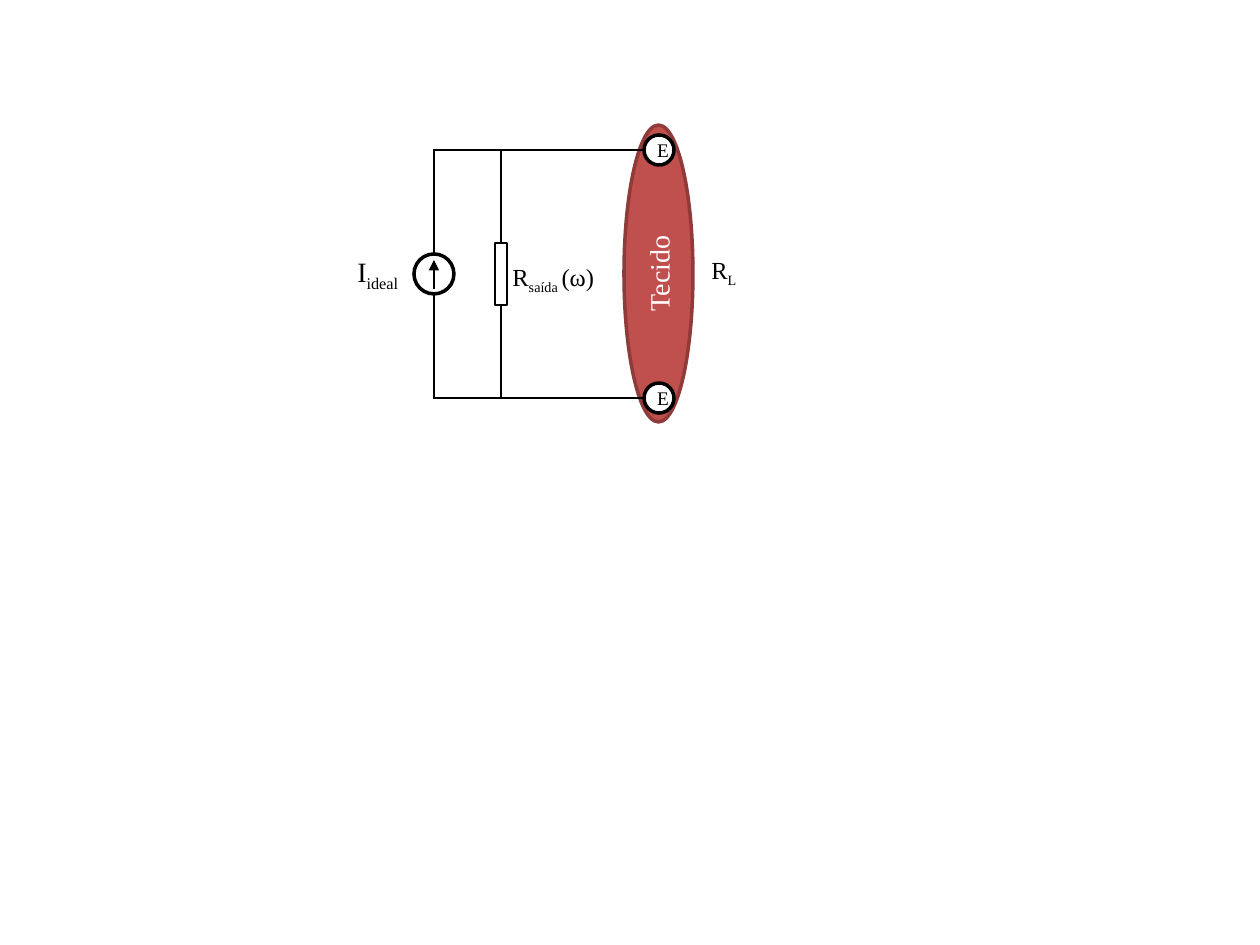
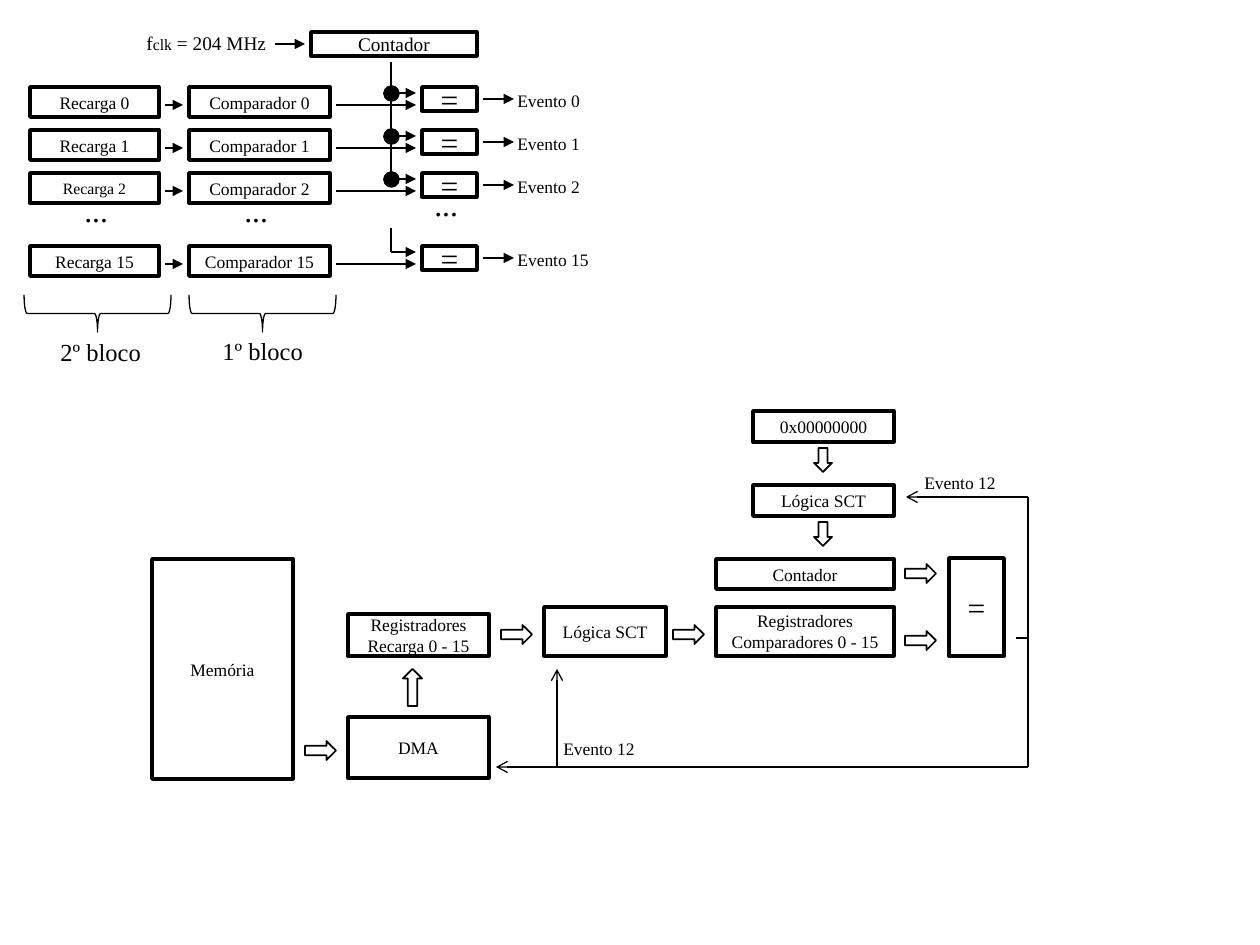
from lxml import etree
from pptx import Presentation
from pptx import util as u
from pptx.dml.color import RGBColor
from pptx.enum import shapes, text
from pptx.oxml.ns import qn

BLACK = RGBColor(0x00, 0x00, 0x00)
WHITE = RGBColor(0xFF, 0xFF, 0xFF)
TISSUE = RGBColor(0xC0, 0x50, 0x4D)
TISSUE_EDGE = RGBColor(0x8E, 0x3B, 0x39)
FONT = "Times New Roman"
SCALE = 914400 / 126
KIND = shapes.MSO_SHAPE


def put(page, kind, place, label="", size=10, weight=2, fill=WHITE, edge=BLACK, ink=BLACK):
    place = [u.Emu(round(value * SCALE)) for value in place]
    if kind is None:
        box = page.shapes.add_textbox(*place)
        box.text_frame.word_wrap = False
        box.text_frame.auto_size = text.MSO_AUTO_SIZE.SHAPE_TO_FIT_TEXT
    else:
        box = page.shapes.add_shape(kind, *place)
        box.shadow.inherit = False
        box.line.color.rgb = edge
        box.line.width = u.Pt(weight)
        if fill is None:
            box.fill.background()
        else:
            box.fill.solid()
            box.fill.fore_color.rgb = fill
        box.text_frame.vertical_anchor = text.MSO_ANCHOR.MIDDLE
    spans = [(label, size, 0)] if isinstance(label, str) else label
    box.text_frame.text = spans[0][0]
    for words, _, _ in spans[1:]:
        box.text_frame.paragraphs[0].add_run().text = words
    for para in box.text_frame.paragraphs:
        if kind is not None:
            para.alignment = text.PP_ALIGN.CENTER
        for index, run in enumerate(para.runs):
            _, points, baseline = spans[min(index, len(spans) - 1)]
            run.font.name = FONT
            run.font.size = u.Pt(points)
            run.font.color.rgb = ink
            if baseline:
                run.font._element.set("baseline", str(baseline * 1000))
    return box


def wire(page, x1, y1, x2, y2, weight=0.75, tip=None):
    ends = [u.Emu(round(value * SCALE)) for value in (x1, y1, x2, y2)]
    line = page.shapes.add_connector(shapes.MSO_CONNECTOR.STRAIGHT, *ends)
    line.line.color.rgb = BLACK
    line.line.width = u.Pt(weight)
    if tip:
        etree.SubElement(line.line._get_or_add_ln(), qn("a:tailEnd"), type=tip)
    etree.SubElement(line._element.spPr, qn("a:effectLst"))


deck = Presentation()
deck.slide_width = u.Inches(10)
deck.slide_height = u.Inches(7.5)
blank = deck.slide_layouts[6]

circuit = deck.slides.add_slide(blank)
tissue = put(circuit, KIND.OVAL, (510, 239, 297, 69), "Tecido", 16,
             fill=TISSUE, edge=TISSUE_EDGE, ink=WHITE)
tissue.rotation = 270
for y in (398, 150):
    wire(circuit, 644, y, 433, y, 1)
    put(circuit, KIND.OVAL, (644, y - 15, 30, 30), "E", 11)
for x, top, bottom in ((434, 254, 294), (501, 243, 305)):
    wire(circuit, x, 150, x, top, 1)
    wire(circuit, x, bottom, x, 398, 1)
put(circuit, KIND.OVAL, (414, 254, 40, 40))
wire(circuit, 434, 289, 434, 260, tip="triangle")
put(circuit, KIND.RECTANGLE, (495, 243, 12, 62), weight=1)
put(circuit, None, (345, 248, 72, 47), [("I", 16, 0), ("ideal", 16, -25)])
put(circuit, None, (500, 256, 112, 43), [("R", 14, 0), ("saída ", 14, -25), ("(ω)", 14, 0)])
put(circuit, None, (699, 249, 52, 62), [("R", 14, 0), ("L", 14, -25)])

timer = deck.slides.add_slide(blank)
put(timer, KIND.RECTANGLE, (311, 32, 166, 24), "Contador", 11)
put(timer, None, (134, 25, 146, 37), [("f", 11, 0), ("clk", 9, 0), (" = 204 MHz", 11, 0)])
wire(timer, 275, 44, 305, 44, tip="triangle")
wire(timer, 391, 62, 391, 185)
wire(timer, 391, 228, 391, 252)

for channel, y in ((0, 87), (1, 130), (2, 173), (15, 246)):
    put(timer, KIND.RECTANGLE, (30, y, 129, 30), f"Recarga {channel}", 9 if channel == 2 else 10)
    put(timer, KIND.RECTANGLE, (189, y, 141, 30), f"Comparador {channel}")
    put(timer, KIND.RECTANGLE, (422, y, 55, 24), "=", 18)
    for start, end, drop in ((165, 183, 18), (336, 416, 18), (391, 416, 6), (483, 514, 12)):
        wire(timer, start, y + drop, end, y + drop, tip="triangle")
    put(timer, None, (505, y - 3, 97 if channel == 15 else 88, 34), f"Evento {channel}")
    if channel != 15:
        put(timer, KIND.OVAL, (385, y, 13, 13), fill=BLACK)

for x, y in ((72, 185), (232, 185), (422, 179)):
    put(timer, None, (x, y, 49, 50), "...", 18)
for brace_x, label_x, label_y, label in ((79, 48, 331, "2º bloco"), (244, 210, 330, "1º bloco")):
    brace = put(timer, KIND.RIGHT_BRACE, (brace_x, 240, 37, 147), weight=0.75, fill=None)
    brace.rotation = 90
    put(timer, None, (label_x, label_y, 107, 43), label, 14)

for place, label, size in (
    ((716, 559, 178, 30), "Contador", 10),
    ((716, 607, 178, 49), "Registradores\nComparadores 0 - 15", 10),
    ((949, 558, 55, 98), "=", 18),
    ((152, 559, 141, 220), "Memória", 10),
    ((348, 614, 141, 42), "Registradores\nRecarga 0 - 15", 10),
    ((348, 717, 141, 61), "DMA", 10),
    ((544, 607, 122, 49), "Lógica SCT", 10),
    ((753, 411, 141, 31), "0x00000000", 10),
    ((753, 485, 141, 31), "Lógica SCT", 10),
):
    put(timer, KIND.RECTANGLE, place, label, size)

for x, y in ((305, 741), (501, 625), (673, 625), (905, 631), (905, 564)):
    put(timer, KIND.RIGHT_ARROW, (x, y, 31, 19), weight=1)
for y in (448, 522):
    put(timer, KIND.DOWN_ARROW, (814, y, 18, 24), weight=1)
put(timer, KIND.UP_ARROW, (403, 669, 19, 37), weight=1)

wire(timer, 1016, 638, 1028, 638)
wire(timer, 1028, 497, 1028, 767)
wire(timer, 1028, 767, 496, 767, tip="arrow")
wire(timer, 557, 767, 557, 669, tip="arrow")
wire(timer, 1028, 497, 906, 497, tip="arrow")
for x, y in ((551, 732), (912, 466)):
    put(timer, None, (x, y, 98, 34), "Evento 12")

deck.save("out.pptx")
